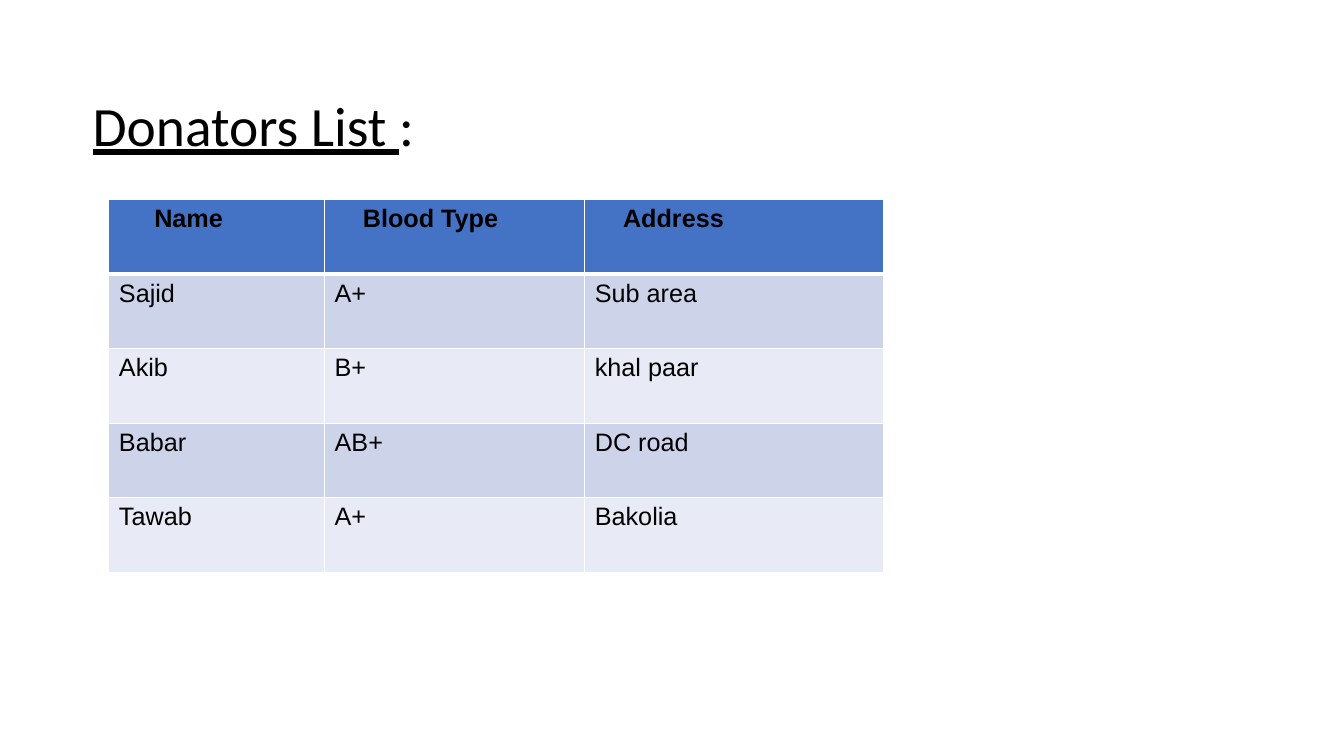
"""Build the donators list slide with its table of names, blood types and addresses."""
from lxml.etree import SubElement
from pptx import Presentation
from pptx.dml.color import RGBColor
from pptx.enum.text import MSO_ANCHOR
from pptx.oxml.ns import qn
from pptx.util import Inches, Pt

COLORS = {"text": "000000", "border": "FFFFFF", "header": "4472C4",
          "odd": "CDD4EA", "even": "E8EBF5"}
DONATORS = [
    ("Name", "Blood Type", "Address"),
    ("Sajid", "A+", "Sub area"),
    ("Akib", "B+", "khal paar"),
    ("Babar", "AB+", "DC road"),
    ("Tawab", "A+", "Bakolia"),
]
COLUMN_WIDTHS = (2.14, 2.58, 2.96)
HEADER_INDENTS = (0.45, 0.38, 0.38)
ROW_HEIGHT = 0.74
TITLE_FORMAT = {"name": "Calibri", "size": Pt(39.6)}
CELL_FORMAT = {"name": "Arial", "size": Pt(18)}


def format_font(font, values):
    for attribute, value in values.items():
        setattr(font, attribute, value)
    font.color.rgb = RGBColor.from_string(COLORS["text"])


def add_border(cell, side, points):
    properties = cell._tc.get_or_add_tcPr()
    line = SubElement(properties, qn(f"a:ln{side}"), w=str(Pt(points)))
    fill = SubElement(line, qn("a:solidFill"))
    SubElement(fill, qn("a:srgbClr"), val=COLORS["border"])


presentation = Presentation()
presentation.slide_width = Inches(13.33)
presentation.slide_height = Inches(7.5)
slide = presentation.slides.add_slide(presentation.slide_layouts[6])

title = slide.shapes.add_textbox(Inches(0.82), Inches(0.88), Inches(11.5), Inches(0.79))
title.text_frame.word_wrap = True
title.text_frame.vertical_anchor = MSO_ANCHOR.MIDDLE
paragraph = title.text_frame.paragraphs[0]
paragraph.line_spacing = 0.9
for text, underline in (("Donators List ", True), (":", False)):
    run = paragraph.add_run()
    run.text = text
    format_font(run.font, {**TITLE_FORMAT, "underline": underline})

table = slide.shapes.add_table(
    len(DONATORS), len(COLUMN_WIDTHS), Inches(1.08), Inches(1.98),
    Inches(sum(COLUMN_WIDTHS)), Inches(ROW_HEIGHT * len(DONATORS))).table
for column, width in zip(table.columns, COLUMN_WIDTHS):
    column.width = Inches(width)

for row_index, donator in enumerate(DONATORS):
    is_header = row_index == 0
    table.rows[row_index].height = Inches(ROW_HEIGHT)
    band = "header" if is_header else "odd" if row_index % 2 else "even"
    widths = {"L": 1, "R": 1, "T": 3 if row_index == 1 else 1, "B": 3 if is_header else 1}
    for column_index, text in enumerate(donator):
        cell = table.cell(row_index, column_index)
        for side, points in widths.items():
            add_border(cell, side, points)
        cell.fill.solid()
        cell.fill.fore_color.rgb = RGBColor.from_string(COLORS[band])
        if is_header:
            cell.margin_left = Inches(HEADER_INDENTS[column_index])
        run = cell.text_frame.paragraphs[0].add_run()
        run.text = text
        format_font(run.font, {**CELL_FORMAT, "bold": is_header})

presentation.save("out.pptx")
